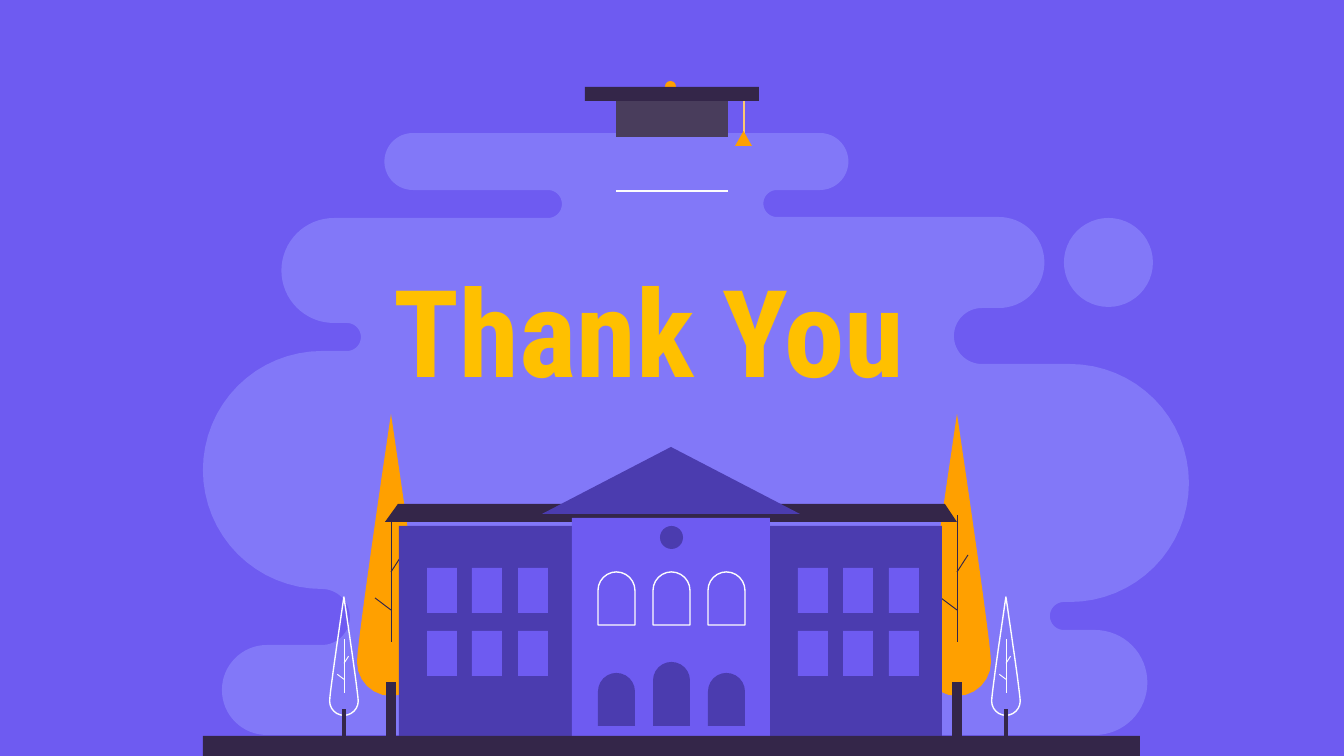
from dataclasses import dataclass
from math import cos, pi, sin

from lxml.etree import SubElement
from pptx import Presentation
from pptx.dml.color import RGBColor
from pptx.enum.shapes import MSO_CONNECTOR, MSO_SHAPE
from pptx.enum.text import MSO_ANCHOR, MSO_AUTO_SIZE, PP_ALIGN
from pptx.oxml.ns import qn
from pptx.util import Pt

SCALE = 9144000 / 1344
BACK, CLOUD, WALL = "6E5BF1", "8278F8", "4B3CAF"
DARK, GOLD, WHITE = "342649", "FFA000", "FDFDFD"
RECT, OVAL = MSO_SHAPE.RECTANGLE, MSO_SHAPE.OVAL
PEAK, ARCH = MSO_SHAPE.ISOSCELES_TRIANGLE, MSO_SHAPE.ROUND_2_SAME_RECTANGLE


@dataclass
class Cap:
    """A half round end of the cloud, drawn from start to end height."""
    x: int
    start: int
    end: int


@dataclass
class Tree:
    """A tree placed by its tip."""
    x: int
    y: int
    size: float
    crown: str | None
    edge: str | None
    twig: str


CAPS = [
    Cap(1095, 735, 630), Cap(1064, 630, 602), Cap(1070, 602, 364),
    Cap(982, 364, 308), Cap(999, 308, 217), Cap(777, 217, 190),
    Cap(820, 190, 133), Cap(413, 133, 190), Cap(548, 190, 218),
    Cap(334, 218, 323), Cap(347, 323, 351), Cap(322, 351, 589),
    Cap(322, 589, 645), Cap(267, 645, 735),
]
BIG = [Tree(x, 414, 1, GOLD, None, DARK) for x in (957, 391)]
SMALL = [Tree(x, 597, 0.42, None, WHITE, WHITE) for x in (1006, 344)]
TWIGS = [(0, 101, 0, 228), (11, 141, 0, 158), (-16, 184, 0, 196)]


def px(num: float) -> int:
    """Turn px into EMU."""
    return round(num * SCALE)


def rgb(code: str) -> RGBColor:
    """Turn a hex string into a colour."""
    return RGBColor.from_string(code)


def paint(shape, fill: str | None, edge: str | None) -> None:
    """Set fill and edge, and drop the shadow."""
    shape.shadow.inherit = False
    if fill:
        shape.fill.solid()
        shape.fill.fore_color.rgb = rgb(fill)
    else:
        shape.fill.background()
    if edge:
        shape.line.color.rgb = rgb(edge)
        shape.line.width = Pt(0.75)
    else:
        shape.line.fill.background()


def block(slide, kind, x: int, y: int, w: int, h: int,
          fill: str | None, edge: str | None = None) -> None:
    """Draw a preset shape."""
    shape = slide.shapes.add_shape(kind, px(x), px(y), px(w), px(h))
    if kind == ARCH:
        shape.adjustments[0] = 0.5
    paint(shape, fill, edge)


def poly(slide, dots: list, fill: str | None, edge: str | None = None) -> None:
    """Draw a closed outline."""
    dots = [(px(x), px(y)) for x, y in dots]
    pen = slide.shapes.build_freeform(*dots[0], scale=1.0)
    pen.add_line_segments(dots[1:], close=True)
    paint(pen.convert_to_shape(), fill, edge)


def rule(slide, x: float, y: float, to_x: float, to_y: float,
         color: str, width: float = 0.75) -> None:
    """Draw a straight line."""
    line = slide.shapes.add_connector(
        MSO_CONNECTOR.STRAIGHT, px(x), px(y), px(to_x), px(to_y))
    line.line.color.rgb = rgb(color)
    line.line.width = Pt(width)
    SubElement(line._element.spPr, qn("a:effectLst"))


def write(shape, text: str, *, font: str, size: int, color: str,
          bold: bool = False, align=PP_ALIGN.CENTER) -> None:
    """Put formatted text in a shape."""
    para = shape.text_frame.paragraphs[0]
    para.alignment = align
    run = para.add_run()
    run.text = text
    run.font.name, run.font.size, run.font.bold = font, Pt(size), bold
    run.font.color.rgb = rgb(color)


def cloud(slide) -> None:
    """Draw the cloud from caps that turn out and in by turns."""
    dots = []
    for i, cap in enumerate(CAPS):
        mid, half = (cap.start + cap.end) / 2, (cap.end - cap.start) / 2
        side = abs(half) * (-1) ** i
        dots += [(cap.x + side * sin(pi * k / 32), mid - half * cos(pi * k / 32))
                 for k in range(33)]
    poly(slide, dots, CLOUD)
    block(slide, OVAL, 1064, 218, 89, 89, CLOUD)


def plant(slide, tree: Tree) -> None:
    """Draw a tree with crown, trunk and twigs."""
    def spot(x: float, y: float) -> tuple[float, float]:
        """Place a point measured from the tip."""
        return tree.x + x * tree.size, tree.y + y * tree.size

    steps = [k / 12 for k in range(13)]
    side = [(34 * t * t * (3 - 2 * t), t * t * (684 - 436 * t)) for t in steps]
    base = [(34 * cos(pi * t), 248 + 34 * sin(pi * t)) for t in steps]
    back = [(-x, y) for x, y in reversed(side)]
    poly(slide, [spot(*dot) for dot in side + base[1:-1] + back[:-1]],
         tree.crown, tree.edge)
    trunk = [(-5, 268), (5, 268), (5, 332), (-5, 332)]
    poly(slide, [spot(*dot) for dot in trunk], DARK)
    for x, y, to_x, to_y in TWIGS:
        rule(slide, *spot(x, y), *spot(to_x, to_y), tree.twig, 0.5)


def school(slide) -> None:
    """Draw the building."""
    poly(slide, [(398, 504), (385, 522), (957, 522), (945, 504)], DARK)
    block(slide, RECT, 399, 526, 543, 217, WALL)
    for wing in (427, 798):
        for y in (631, 568):
            for i in range(3):
                block(slide, RECT, wing + i * 91 // 2, y, 30, 45, BACK)
    block(slide, RECT, 572, 518, 198, 225, BACK)
    for i, top in enumerate((673, 662, 673)):
        x = 598 + 55 * i
        block(slide, ARCH, x, top, 37, 726 - top, WALL)
        block(slide, ARCH, x, 572, 37, 53, None, WHITE)
    block(slide, PEAK, 542, 447, 258, 67, WALL)
    block(slide, OVAL, 660, 526, 23, 23, WALL)


def hat(slide) -> None:
    """Draw the graduation cap."""
    block(slide, ARCH, 665, 81, 11, 11, GOLD)
    block(slide, RECT, 616, 101, 112, 36, "493D5C")
    rule(slide, 744, 95, 744, 145, "FCC871")
    block(slide, PEAK, 735, 131, 17, 15, GOLD)
    block(slide, RECT, 585, 87, 174, 14, DARK)


def head(slide) -> None:
    """Bring the title to the front and remove the unused placeholder."""
    spare = slide.placeholders[1]._element
    spare.getparent().remove(spare)
    title = slide.shapes.title
    title._element.getparent().append(title._element)
    title.left, title.top, title.width, title.height = map(px, (223, 301, 853, 114))
    frame = title.text_frame
    frame.auto_size = MSO_AUTO_SIZE.NONE
    frame.word_wrap = True
    frame.vertical_anchor = MSO_ANCHOR.BOTTOM
    frame.margin_left = frame.margin_right = px(13)
    frame.margin_top = frame.margin_bottom = px(13)
    write(title, "Thank You", font="Roboto Condensed", size=65,
          color="FFC000", bold=True)


def main() -> None:
    """Build the slide and save it."""
    deck = Presentation()
    deck.slide_width, deck.slide_height = px(1344), px(756)
    slide = deck.slides.add_slide(deck.slide_layouts[0])
    slide.background.fill.solid()
    slide.background.fill.fore_color.rgb = rgb(BACK)
    cloud(slide)
    for tree in BIG:
        plant(slide, tree)
    school(slide)
    for tree in SMALL:
        plant(slide, tree)
    block(slide, RECT, 203, 736, 937, 20, DARK)
    hat(slide)
    rule(slide, 616, 191, 728, 191, WHITE, 1.5)
    head(slide)
    deck.save("out.pptx")


if __name__ == "__main__":
    main()
